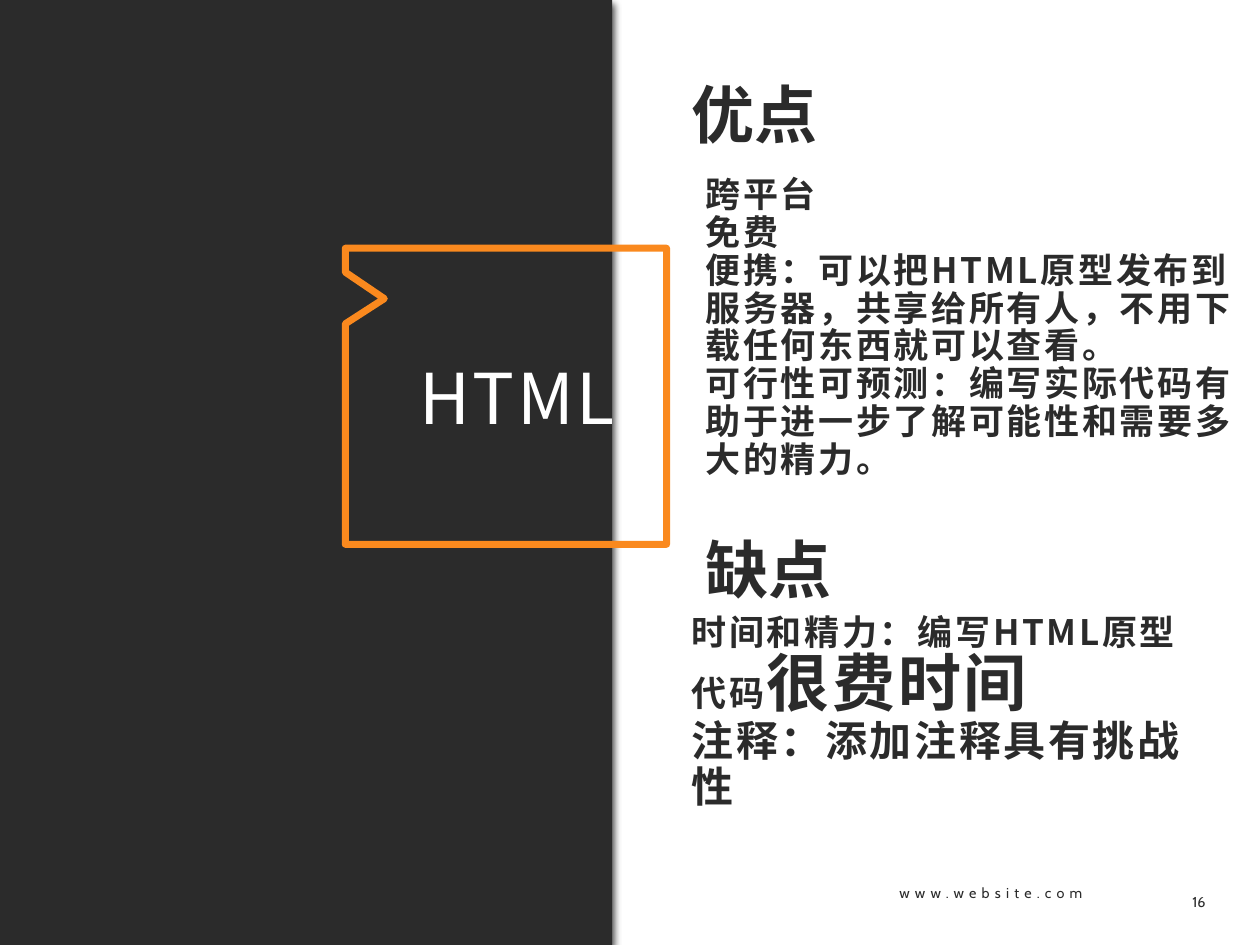
from lxml import etree
from pptx import Presentation, util as u
from pptx.dml.color import RGBColor
from pptx.enum import shapes, text
from pptx.oxml import ns

HUES = {"ink": "2B2B2B", "paper": "FFFFFF", "accent": "FA891E", "shade": "000000"}
SANS, SMALL = "Noto Sans CJK SC", "Cabin"


class Deck:
    """Holds the style and the current slide, with a method per kind of element."""

    def __init__(self):
        self.prs = Presentation()
        self.prs.slide_width, self.prs.slide_height = u.Inches(10), u.Inches(7.5)
        self.slide = self.prs.slides.add_slide(self.prs.slide_layouts[5])
        self.items = self.slide.shapes

    def hue(self, name):
        return RGBColor.from_string(HUES[name])

    def add_run(self, para, words, size, face=SANS, hue="ink", bold=False, gap=0):
        run = para.add_run()
        run.text = words
        font = run.font
        font.size, font.name, font.bold = u.Pt(size), face, bold
        font.color.rgb = self.hue(hue)
        props = run._r.get_or_add_rPr()
        props.set("spc", str(int(gap * 100)))
        etree.SubElement(props, ns.qn("a:ea"), typeface=face)

    def fill_text(self, shape, paras, wrap=True, side=text.PP_ALIGN.LEFT, lead=None, **style):
        frame = shape.text_frame
        frame.word_wrap = wrap
        frame.auto_size = text.MSO_AUTO_SIZE.NONE
        frame.vertical_anchor = text.MSO_ANCHOR.TOP
        for i, runs in enumerate(paras):
            para = frame.add_paragraph() if i else frame.paragraphs[0]
            para.alignment = side
            if lead:
                para.line_spacing = lead
            for words, size in runs:
                self.add_run(para, words, size, **style)

    def box(self, place, paras, **style):
        shape = self.items.add_textbox(*map(u.Inches, place))
        self.fill_text(shape, paras, **style)
        return shape.text_frame

    def title(self, place, words, size):
        shape = self.items.title
        shape.left, shape.top, shape.width, shape.height = map(u.Inches, place)
        self.fill_text(shape, [[(words, size)]], side=text.PP_ALIGN.RIGHT, hue="paper", gap=1.5)

    def panel(self, place):
        shape = self.items.add_shape(shapes.MSO_SHAPE.RECTANGLE, *map(u.Inches, place))
        shape.fill.solid()
        shape.fill.fore_color.rgb = self.hue("ink")
        shape.line.fill.background()
        shape.shadow.inherit = False
        glow = etree.SubElement(
            shape._element.spPr.find(ns.qn("a:effectLst")), ns.qn("a:outerShdw"),
            blurRad=str(u.Pt(4)), dist=str(u.Pt(3)), dir=str(69 * 60000), rotWithShape="0")
        tint = etree.SubElement(glow, ns.qn("a:srgbClr"), val=HUES["shade"])
        etree.SubElement(tint, ns.qn("a:alpha"), val="69000")
        self.items._spTree.insert(2, shape._element)

    def outline(self, points, width):
        start, *rest = [(u.Inches(x), u.Inches(y)) for x, y in points]
        pen = self.items.build_freeform(*start)
        pen.add_line_segments(rest, close=True)
        shape = pen.convert_to_shape()
        shape.fill.background()
        shape.line.color.rgb = self.hue("accent")
        shape.line.width = u.Pt(width)
        shape.shadow.inherit = False


def main():
    deck = Deck()
    deck.panel((0, 0, 4.86, 7.5))
    deck.title((3.05, 2.76, 1.93, 0.77), "HTML", 40)

    deck.box((7.04, 6.97, 1.73, 0.24), [[("www.website.com", 8.2)]],
             wrap=False, face=SMALL, gap=3)
    page = deck.box((9.34, 7.05, 0.35, 0.21), [[("16", 8.2)]],
                    side=text.PP_ALIGN.CENTER, face=SMALL)
    page.vertical_anchor = text.MSO_ANCHOR.MIDDLE
    page.margin_left = page.margin_right = u.Inches(0.07)
    page.margin_top = page.margin_bottom = u.Inches(0.04)

    pros = ["跨平台", "免费",
            "便携：可以把HTML原型发布到服务器，共享给所有人，不用下载任何东西就可以查看。",
            "可行性可预测：编写实际代码有助于进一步了解可能性和需要多大的精力。"]
    cons = [[("时间和精力：编写HTML原型代码", 20), ("很费时间", 36)],
            [("注释：添加注释具有挑战性", 24)]]
    body = dict(lead=0.9, bold=True, gap=1.5)
    deck.box((5.5, 1.36, 4.52, 2.67), [[(line, 20)] for line in pros], **body)
    deck.box((5.39, 4.83, 4.24, 2.05), cons, **body)
    for left, top, words in [(5.39, 0.55, "优点"), (5.5, 4.16, "缺点")]:
        deck.box((left, top, 1.2, 0.7), [[(words, 36)]], wrap=False, bold=True)

    deck.outline([(2.74, 1.97), (5.29, 1.97), (5.29, 4.32), (2.74, 4.32),
                  (2.74, 2.57), (3.05, 2.37), (2.74, 2.16)], 4)
    deck.prs.save("out.pptx")


if __name__ == "__main__":
    main()
